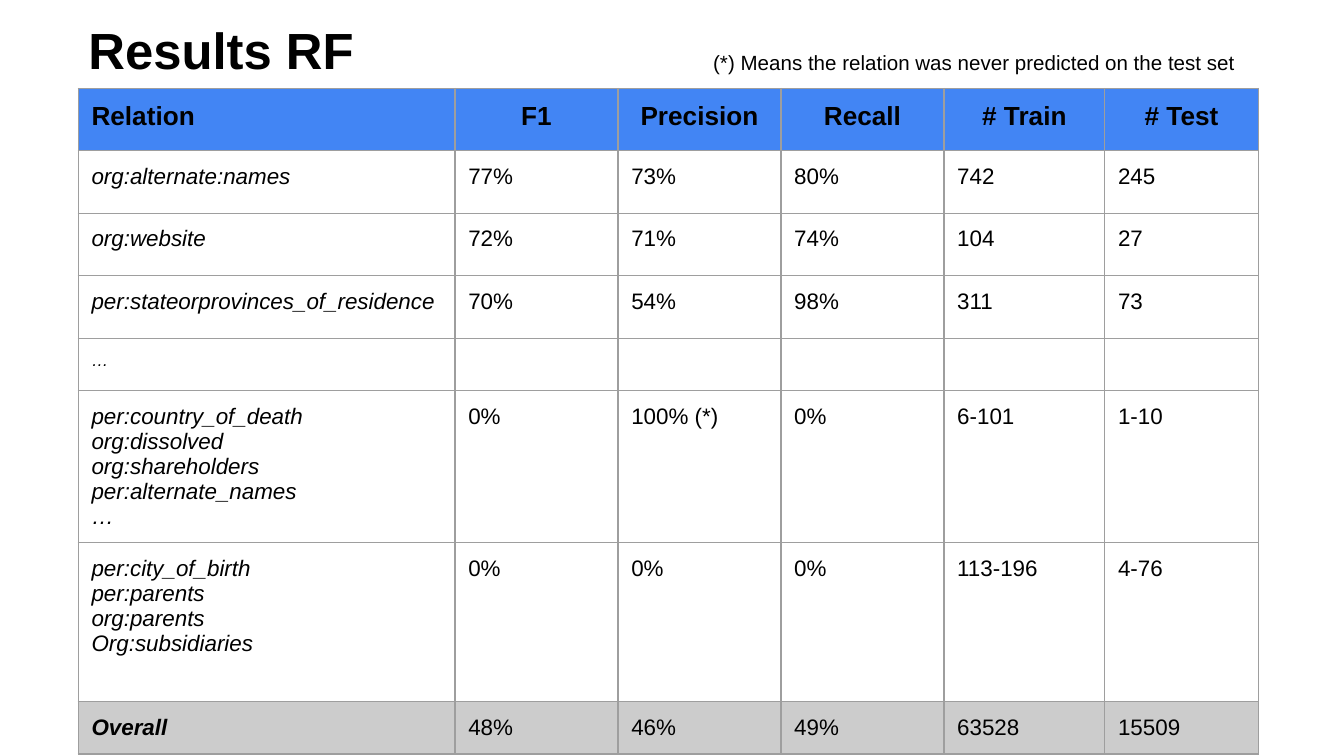
from pptx import Presentation
from pptx.dml.color import RGBColor
from pptx.enum import text
from pptx.oxml import parse_xml
from pptx.oxml.ns import nsdecls
from pptx.util import Cm, Pt

TITLE = "Results RF"
FOOTNOTE = "(*) Means the relation was never predicted on the test set"
HEADER = ["Relation", "F1", "Precision", "Recall", "# Train", "# Test"]
# \v is a line break inside a paragraph, \n starts a new paragraph
RESULTS = [
    ["org:alternate:names", "77%", "73%", "80%", "742", "245"],
    ["org:website", "72%", "71%", "74%", "104", "27"],
    ["per:stateorprovinces_of_residence", "70%", "54%", "98%", "311", "73"],
    ["…", "", "", "", "", ""],
    ["per:country_of_death\vorg:dissolved\norg:shareholders\nper:alternate_names\n…",
     "0%", "100% (*)", "0%", "6-101", "1-10"],
    ["per:city_of_birth\nper:parents\norg:parents\nOrg:subsidiaries",
     "0%", "0%", "0%", "113-196", "4-76"],
]
OVERALL = ["Overall", "48%", "46%", "49%", "63528", "15509"]

COLUMN_WIDTHS = [7.12, 3.08, 3.08, 3.08, 3.04, 2.9]
ROW_HEIGHTS = [1.18, 1.18, 1.18, 1.18, 0.99, 2.49, 3, 0.99]
INSET = Cm(0.25)
BLACK, BLUE, GREY, BORDER = "000000", "4285F4", "CCCCCC", "9E9E9E"


def color(hex_code):
    return RGBColor.from_string(hex_code)


def set_font(paragraph, size, bold=False, italic=False):
    font = paragraph.font
    font.name, font.size = "Arial", Pt(size)
    font.bold, font.italic = bold, italic
    font.color.rgb = color(BLACK)


def set_insets(frame):
    frame.margin_left = frame.margin_right = INSET
    frame.margin_top = frame.margin_bottom = INSET
    frame.word_wrap = True


def add_borders(cell):
    properties = cell._tc.get_or_add_tcPr()
    for index, side in enumerate(("lnL", "lnR", "lnT", "lnB")):
        properties.insert(index, parse_xml(
            f'<a:{side} {nsdecls("a")} w="{Pt(0.75)}"><a:solidFill>'
            f'<a:srgbClr val="{BORDER}"/></a:solidFill></a:{side}>'))


def fill_cell(cell, content, size, bold, italic, centered, background):
    cell.text = content
    cell.margin_left = cell.margin_right = INSET
    cell.margin_top = cell.margin_bottom = INSET
    for paragraph in cell.text_frame.paragraphs:
        if centered:
            paragraph.alignment = text.PP_ALIGN.CENTER
        set_font(paragraph, size, bold, italic)
        if not content:  # keeps an empty row from growing
            paragraph._p.append(parse_xml(
                f'<a:endParaRPr {nsdecls("a")} sz="{size * 100}"/>'))
    if background:
        cell.fill.solid()
        cell.fill.fore_color.rgb = color(background)
    else:
        cell.fill.background()
    add_borders(cell)


def add_results_table(slide):
    rows = [HEADER, *RESULTS, OVERALL]
    table = slide.shapes.add_table(
        len(rows), len(HEADER), Cm(1.48), Cm(1.67),
        Cm(sum(COLUMN_WIDTHS)), Cm(sum(ROW_HEIGHTS))).table
    table.first_row = table.horz_banding = False
    for column, width in zip(table.columns, COLUMN_WIDTHS):
        column.width = Cm(width)
    for row, height in zip(table.rows, ROW_HEIGHTS):
        row.height = Cm(height)
    for r, values in enumerate(rows):
        is_header, is_overall = values is HEADER, values is OVERALL
        size = 14 if is_header else 9 if values[0] == "…" else 12
        background = BLUE if is_header else GREY if is_overall else None
        for c, value in enumerate(values):
            is_relation = c == 0
            fill_cell(table.cell(r, c), value, size,
                      bold=is_header or (is_overall and is_relation),
                      italic=is_relation and not is_header,
                      centered=is_header and not is_relation,
                      background=background)


def main():
    deck = Presentation()
    deck.slide_width, deck.slide_height = Cm(25.4), Cm(14.28)
    slide = deck.slides.add_slide(deck.slide_layouts[5])

    title = slide.shapes.title
    title.left, title.top, title.width, title.height = (
        Cm(1.42), Cm(0.13), Cm(23.11), Cm(1.6))
    title.text_frame.text = TITLE
    set_insets(title.text_frame)
    title.text_frame.auto_size = text.MSO_AUTO_SIZE.NONE
    title.text_frame.vertical_anchor = text.MSO_ANCHOR.MIDDLE
    heading = title.text_frame.paragraphs[0]
    heading.alignment = text.PP_ALIGN.LEFT
    set_font(heading, 27.2, bold=True)

    add_results_table(slide)

    footnote = slide.shapes.add_textbox(
        Cm(12.85), Cm(0.71), Cm(11.13), Cm(0.99)).text_frame
    footnote.text = FOOTNOTE
    set_insets(footnote)
    footnote.auto_size = text.MSO_AUTO_SIZE.SHAPE_TO_FIT_TEXT
    footnote.paragraphs[0].alignment = text.PP_ALIGN.CENTER
    set_font(footnote.paragraphs[0], 11)

    deck.save("out.pptx")


if __name__ == "__main__":
    main()
